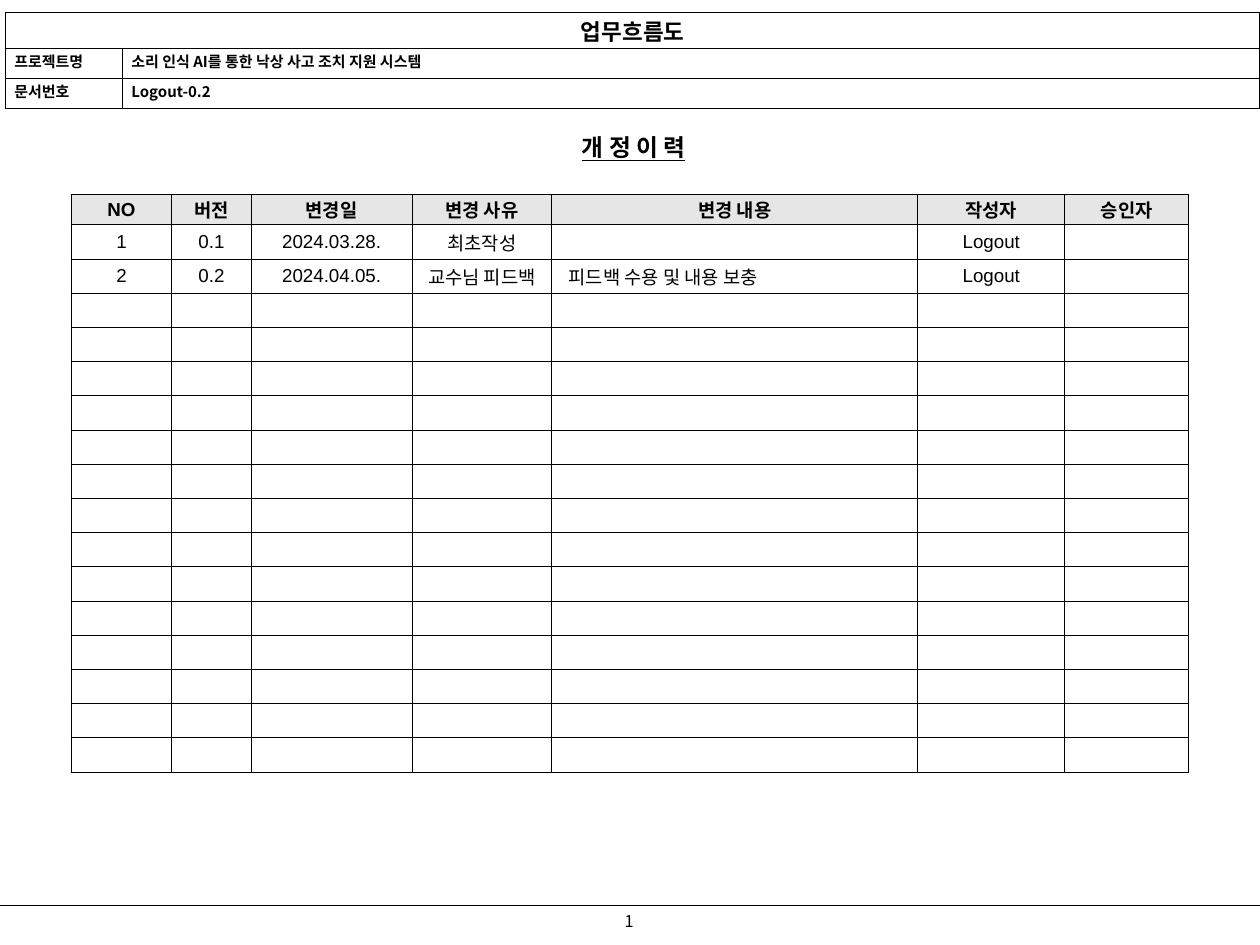
from dataclasses import dataclass

from lxml.etree import SubElement
from pptx import Presentation
from pptx.dml.color import RGBColor
from pptx.enum.shapes import MSO_CONNECTOR
from pptx.enum.text import MSO_ANCHOR as Anchor, MSO_AUTO_SIZE as AutoSize, PP_ALIGN as Align
from pptx.oxml.ns import qn
from pptx.util import Inches, Pt


@dataclass(frozen=True)
class Theme:
    ink: RGBColor = RGBColor(0, 0, 0)
    paper: RGBColor = RGBColor(255, 255, 255)
    heading_fill: RGBColor = RGBColor(0xE6, 0xE6, 0xE6)
    korean: str = "Noto Sans CJK KR"
    latin: str = "Arial"
    document_size: Pt = Pt(18)
    title_size: Pt = Pt(19)
    history_size: Pt = Pt(15)
    label_size: Pt = Pt(12)
    page_size: Pt = Pt(13)
    line_width: Pt = Pt(1)


theme = Theme()


def write(frame, text, size, latin=theme.korean, bold=False, align=Align.CENTER):
    paragraph = frame.paragraphs[0]
    paragraph.text = text
    paragraph.alignment = align
    font = paragraph.font
    font.size, font.bold, font.name = size, bold, latin
    font.color.rgb = theme.ink
    SubElement(font._element, qn("a:ea"), typeface=theme.korean)
    return paragraph


def add_grid(left, top, widths, heights, margin_x, margin_y):
    table = slide.shapes.add_table(
        len(heights), len(widths), Inches(left), Inches(top),
        Inches(sum(widths)), Inches(sum(heights))).table
    table.first_row = table.horz_banding = False
    for column, width in zip(table.columns, widths):
        column.width = Inches(width)
    for row, height in zip(table.rows, heights):
        row.height = Inches(height)
    for cell in table.iter_cells():
        cell.margin_left = cell.margin_right = Inches(margin_x)
        cell.margin_top = cell.margin_bottom = Inches(margin_y)
        properties = cell._tc.get_or_add_tcPr()
        for side in ("lnL", "lnR", "lnT", "lnB"):
            border = SubElement(properties, qn(f"a:{side}"), w=str(theme.line_width))
            fill = SubElement(border, qn("a:solidFill"))
            SubElement(fill, qn("a:srgbClr"), val=str(theme.ink))
        cell.fill.background()
    return table


presentation = Presentation()
presentation.slide_width = Inches(14)
presentation.slide_height = Inches(10.5)
slide = presentation.slides.add_slide(presentation.slide_layouts[5])

footer_line = slide.shapes.add_connector(
    MSO_CONNECTOR.STRAIGHT, Inches(0), Inches(10.06), Inches(14), Inches(10.06))
footer_line.line.color.rgb = theme.ink
footer_line.line.width = theme.line_width
SubElement(footer_line._element.spPr, qn("a:effectLst"))

page_number = slide.shapes.add_textbox(Inches(6.72), Inches(10.06), Inches(0.54), Inches(0.35))
title = slide.shapes.title
title.left, title.top, title.width, title.height = (
    Inches(5.82), Inches(1.4), Inches(2.44), Inches(0.47))
for shape in (page_number, title):
    frame = shape.text_frame
    frame.auto_size = AutoSize.NONE
    frame.margin_left = frame.margin_right = Inches(0.13)
    frame.margin_top = frame.margin_bottom = Inches(0.07)
page_number.text_frame.word_wrap = False
write(page_number.text_frame, "1", theme.page_size)
title.text_frame.word_wrap = True
title.text_frame.vertical_anchor = Anchor.MIDDLE
write(title.text_frame, "개 정 이 력", theme.title_size, bold=True).font.underline = True

history_rows = [
    ["NO", "버전", "변경일", "변경 사유", "변경 내용", "작성자", "승인자"],
    ["1", "0.1", "2024.03.28.", "최초작성", "", "Logout", ""],
    ["2", "0.2", "2024.04.05.", "교수님 피드백", "피드백 수용 및 내용 보충", "Logout", ""],
]
history = add_grid(0.79, 2.16, [1.12, 0.88, 1.79, 1.55, 4.07, 1.63, 1.38],
                   [0.34] + [0.38] * 16, 0.09, 0)
for row_index, texts in enumerate(history_rows):
    is_heading = row_index == 0
    for column_index, text in enumerate(texts):
        cell = history.cell(row_index, column_index)
        cell.vertical_anchor = Anchor.MIDDLE
        if is_heading:
            cell.fill.solid()
            cell.fill.fore_color.rgb = theme.heading_fill
        if text:
            is_detail = column_index == 4 and not is_heading
            if is_detail:
                cell.margin_left = Inches(0.19)
            write(cell.text_frame, text, theme.history_size, theme.latin, is_heading,
                  Align.LEFT if is_detail else Align.CENTER)

document = add_grid(0.06, 0.14, [1.3, 12.64], [0.39, 0.33, 0.33], 0.1, 0.02)
for cell in document.iter_cells():
    cell.fill.solid()
    cell.fill.fore_color.rgb = theme.paper
document.cell(0, 0).merge(document.cell(0, 1))
write(document.cell(0, 0).text_frame, "업무흐름도", theme.document_size, bold=True)
document_rows = [
    ("프로젝트명", "소리 인식 AI를 통한 낙상 사고 조치 지원 시스템"),
    ("문서번호", "Logout-0.2"),
]
for row_index, texts in enumerate(document_rows, start=1):
    for column_index, text in enumerate(texts):
        write(document.cell(row_index, column_index).text_frame, text,
              theme.label_size, bold=True, align=Align.LEFT)

presentation.save("out.pptx")
